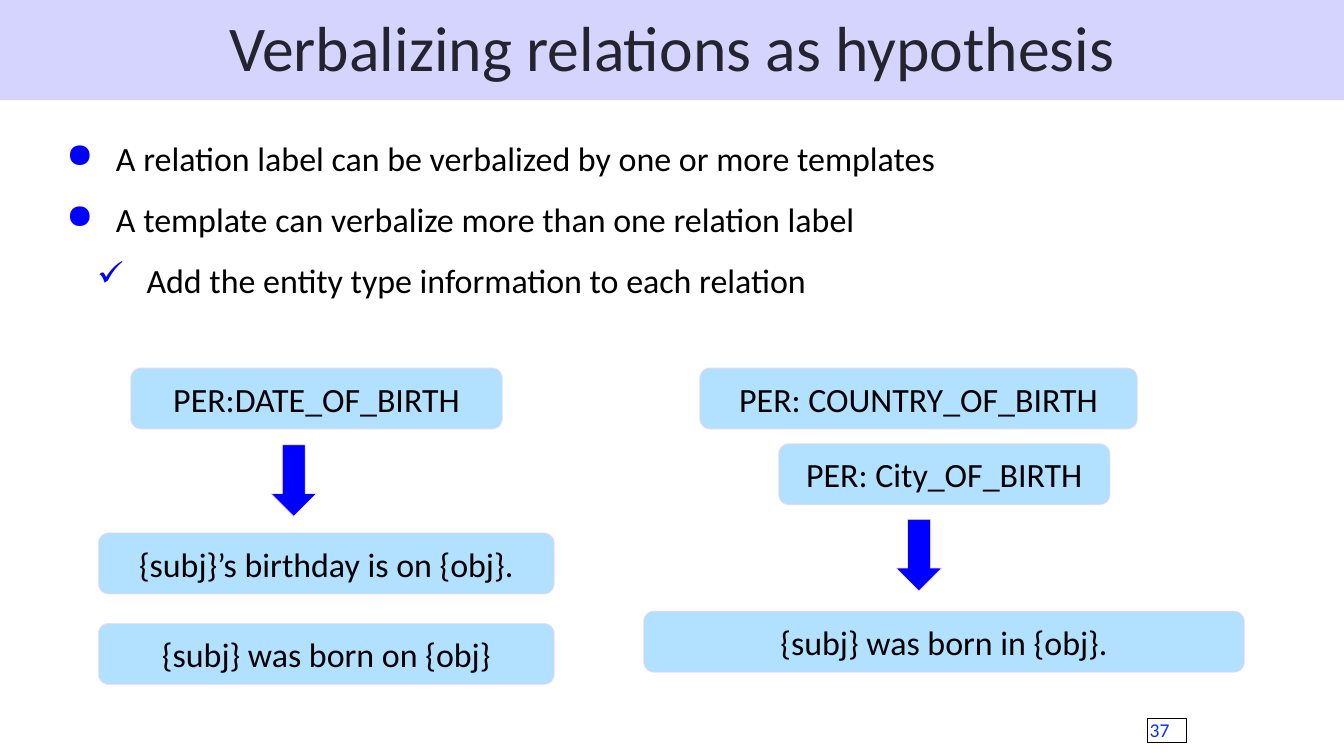
from dataclasses import dataclass

from lxml import etree
from pptx import Presentation
from pptx.dml.color import RGBColor
from pptx.enum.shapes import MSO_SHAPE
from pptx.enum.text import MSO_ANCHOR, PP_ALIGN
from pptx.oxml.ns import qn
from pptx.util import Inches, Pt

RECT, ROUNDED, DOWN = MSO_SHAPE.RECTANGLE, MSO_SHAPE.ROUNDED_RECTANGLE, MSO_SHAPE.DOWN_ARROW
TOP, MIDDLE = MSO_ANCHOR.TOP, MSO_ANCHOR.MIDDLE
LEFT, CENTER = PP_ALIGN.LEFT, PP_ALIGN.CENTER


@dataclass(frozen=True)
class Theme:
    font: str = "Calibri"
    band: str = "D4D4FF"
    title: str = "24242E"
    text: str = "000000"
    accent: str = "0000FF"
    label: str = "0099FF"
    label_alpha: int = 30
    edge: str = "FDD7F5"
    number: str = "0433FF"
    title_size: int = 75
    body_size: int = 40
    number_size: int = 23
    hairline: float = 0.75


THEME = Theme()
WIDTH, HEIGHT = 21.99, 12.37

TITLE = "Verbalizing relations as hypothesis"
PAGE = "37"
POINTS = [
    ("●", 0, "A relation label can be verbalized by one or more templates"),
    ("●", 0, "A template can verbalize more than one relation label"),
    ("✓", 1, "Add the entity type information to each relation"),
]

# Percentages of the slide: left, top, width, height
BAND_AREA = (0, 0, 100, 13.26)
TITLE_AREA = (13.42, 1.05, 73.17, 10.75)
POINTS_AREA = (4.5, 15.04, 90.95, 32.5)
PAGE_AREA = (85.36, 95.07, 2.91, 3.07)
LABEL_HEIGHT = 8.08
ARROW_SIZE = (3.41, 9.46)
HANGING, LEVEL_STEP = 0.81, 0.5

LABELS = [
    ("PER:DATE_OF_BIRTH", 9.73, 48.67, 27.65),
    ("{subj}’s birthday is on {obj}.", 7.32, 70.49, 33.92),
    ("{subj} was born on {obj}", 7.32, 82.46, 33.92),
    ("PER: COUNTRY_OF_BIRTH", 52.07, 48.67, 32.56),
    ("PER: City_OF_BIRTH", 57.94, 58.69, 24.65),
    ("{subj} was born in {obj}.", 47.89, 80.84, 44.7),
]
ARROWS = [(20.15, 58.85), (66.67, 68.71)]


def place(area):
    left, top, width, height = area
    return (Inches(left * WIDTH / 100), Inches(top * HEIGHT / 100),
            Inches(width * WIDTH / 100), Inches(height * HEIGHT / 100))


def add_figure(slide, preset, area, fill=None, line=None, alpha=None):
    figure = slide.shapes.add_shape(preset, *place(area))
    figure.shadow.inherit = False
    if fill:
        figure.fill.solid()
        figure.fill.fore_color.rgb = RGBColor.from_string(fill)
    else:
        figure.fill.background()
    if alpha:
        color = figure.fill._xPr.find(qn("a:solidFill"))[0]
        etree.SubElement(color, qn("a:alpha"), val=str(alpha * 1000))
    if line:
        figure.line.color.rgb = RGBColor.from_string(line)
        figure.line.width = Pt(THEME.hairline)
    else:
        figure.line.fill.background()
    return figure


def prepare(frame, anchor, inset=True):
    frame.word_wrap = True
    frame.vertical_anchor = anchor
    if not inset:
        frame.margin_left = frame.margin_right = 0
        frame.margin_top = frame.margin_bottom = 0
    return frame.paragraphs[0]


def write(paragraph, text, size, color, align=LEFT):
    paragraph.alignment = align
    run = paragraph.add_run()
    run.text = text
    run.font.name = THEME.font
    run.font.size = Pt(size)
    run.font.color.rgb = RGBColor.from_string(color)


def add_bullet(paragraph, mark, level):
    properties = paragraph._p.get_or_add_pPr()
    properties.set("marL", str(Inches(HANGING + level * LEVEL_STEP)))
    properties.set("indent", str(-Inches(HANGING)))
    color = etree.SubElement(properties, qn("a:buClr"))
    etree.SubElement(color, qn("a:srgbClr"), val=THEME.accent)
    etree.SubElement(properties, qn("a:buChar"), char=mark)
    paragraph.level = level
    paragraph.line_spacing = 1.5


def add_heading(slide):
    add_figure(slide, RECT, BAND_AREA, THEME.band)
    heading = slide.shapes.add_textbox(*place(TITLE_AREA))
    line = prepare(heading.text_frame, TOP, inset=False)
    write(line, TITLE, THEME.title_size, THEME.title, CENTER)


def add_page_number(slide):
    number = add_figure(slide, RECT, PAGE_AREA, line=THEME.text)
    line = prepare(number.text_frame, TOP, inset=False)
    line._p.get_or_add_pPr().set("marL", str(Inches(0.04)))
    line.line_spacing = Pt(26.8)
    write(line, PAGE, THEME.number_size, THEME.number)


def add_points(slide):
    frame = slide.shapes.add_textbox(*place(POINTS_AREA)).text_frame
    first = prepare(frame, TOP)
    for index, (mark, level, text) in enumerate(POINTS):
        point = frame.add_paragraph() if index else first
        add_bullet(point, mark, level)
        write(point, text, THEME.body_size, THEME.text)


def add_diagram(slide):
    for text, left, top, width in LABELS:
        label = add_figure(slide, ROUNDED, (left, top, width, LABEL_HEIGHT),
                           THEME.label, THEME.edge, THEME.label_alpha)
        line = prepare(label.text_frame, MIDDLE)
        write(line, text, THEME.body_size, THEME.text, CENTER)
    for corner in ARROWS:
        add_figure(slide, DOWN, corner + ARROW_SIZE, THEME.accent, THEME.edge)


def main():
    deck = Presentation()
    deck.slide_width, deck.slide_height = Inches(WIDTH), Inches(HEIGHT)
    slide = deck.slides.add_slide(deck.slide_layouts[6])
    add_heading(slide)
    add_page_number(slide)
    add_points(slide)
    add_diagram(slide)
    deck.save("out.pptx")


if __name__ == "__main__":
    main()
